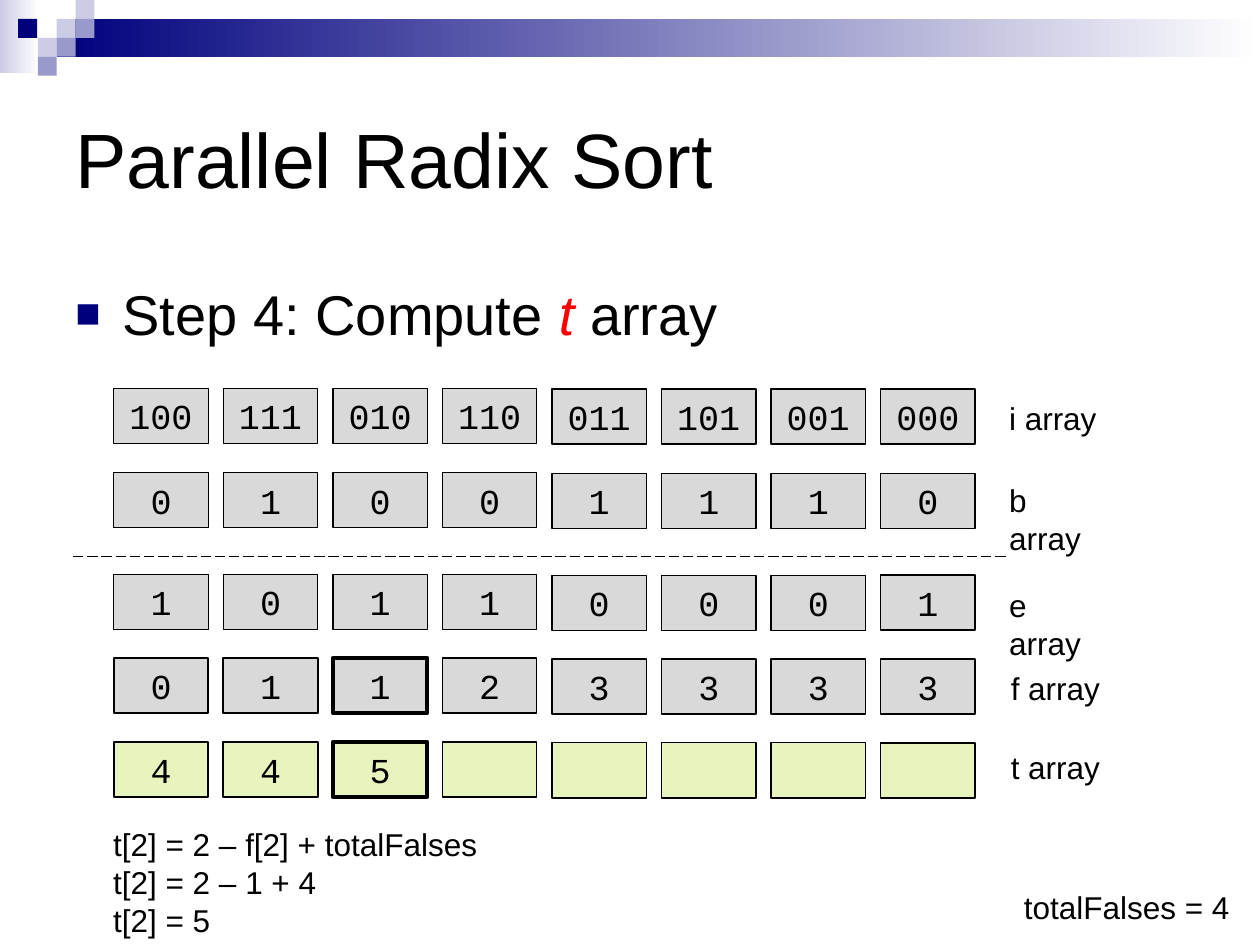
import lxml.etree
import pptx
import pptx.dml.color
import pptx.enum.dml
import pptx.enum.shapes
import pptx.enum.text
import pptx.oxml.ns
import pptx.util

Pt = pptx.util.Pt
qn = pptx.oxml.ns.qn
ALIGN = pptx.enum.text.PP_ALIGN
ANCHOR = pptx.enum.text.MSO_ANCHOR
RECT = pptx.enum.shapes.MSO_SHAPE.RECTANGLE
BLACK, NAVY, LILAC, MAUVE, WHITE = "000000", "00007D", "CCCCE6", "9999CC", "FFFFFF"
GREY, LIME, RED = "D9D9D9", "E7F4BE", "FF0000"

LEFT, STEP, WIDE, HIGH = 65, 62.6, 54, 31.5
TILE = 10.8
TILES = [(32.4, 10.8, LILAC), (43.2, 0, LILAC), (43.2, 10.8, MAUVE),
         (21.6, 21.6, LILAC), (10.4, 10.8, NAVY), (32.4, 21.6, MAUVE),
         (21.6, 32.4, MAUVE)]
HEAVY = {0: 1, 1: 1, 2: 2.25, 7: 1}
# name, cell top, label left, label top, fill, border widths by column, values
ROWS = [
    ("i array", 221.8, 569.5, 224.6, GREY, {}, "100 111 010 110 011 101 001 000"),
    ("b array", 270, 569.5, 271.4, GREY, {}, "0 1 0 0 1 1 1 0"),
    ("e array", 328.2, 569.5, 331.2, GREY, {7: 1}, "1 0 1 1 0 0 0 1"),
    ("f array", 376, 570.5, 378.7, GREY, HEAVY, "0 1 1 2 3 3 3 3"),
    ("t array", 424, 570.5, 424.1, LIME, HEAVY, "4 4 5 - - - - -"),
]


def rgb(code):
    return pptx.dml.color.RGBColor.from_string(code)


def style(para, size, font="Arial"):
    for run in para.runs:
        run.font.size = Pt(size)
        run.font.name = font
        run.font.color.rgb = rgb(BLACK)


def block(slide, x, y, w, h, fill, end=None):
    """Draw a borderless box, fading to the colour end if one is given."""
    box = slide.shapes.add_shape(RECT, Pt(x), Pt(y), Pt(w), Pt(h))
    box.shadow.inherit = False
    box.line.fill.background()
    if end:
        box.fill.gradient()
        box.fill.gradient_angle = 0
        for stop, code in zip(box.fill.gradient_stops, (fill, end)):
            stop.color.rgb = rgb(code)
    else:
        box.fill.solid()
        box.fill.fore_color.rgb = rgb(fill)
    return box


def cell(slide, x, y, fill, width, value):
    box = block(slide, x, y, WIDE, HIGH, fill)
    box.line.color.rgb = rgb(BLACK)
    box.line.width = Pt(width)
    if value != "-":
        frame = box.text_frame
        frame.text = value
        frame.vertical_anchor = ANCHOR.MIDDLE
        frame.paragraphs[0].alignment = ALIGN.CENTER
        style(frame.paragraphs[0], 20, "Courier New")


def label(slide, x, y, w, h, lines, size=18, wrap=False):
    frame = slide.shapes.add_textbox(Pt(x), Pt(y), Pt(w), Pt(h)).text_frame
    frame.word_wrap = wrap
    frame.text = "\n".join(lines)
    for para in frame.paragraphs:
        style(para, size)
    return frame


def banner(slide):
    block(slide, 0, 0, 22.3, 41.8, LILAC, WHITE)
    block(slide, 32.4, 10.8, 687.6, 21.6, NAVY, WHITE)
    for x, y, fill in TILES:
        block(slide, x, y, TILE, TILE, fill)


def bullet(para):
    props = para._p.get_or_add_pPr()
    props.set("marL", str(Pt(27)))
    props.set("indent", str(-Pt(27)))
    para.space_before = Pt(8)
    tint = lxml.etree.SubElement(props, qn("a:buClr"))
    lxml.etree.SubElement(tint, qn("a:srgbClr"), val=NAVY)
    lxml.etree.SubElement(props, qn("a:buSzPct"), val="75000")
    lxml.etree.SubElement(props, qn("a:buFont"), typeface="Arial")
    lxml.etree.SubElement(props, qn("a:buChar"), char="■")


def step(slide):
    para = label(slide, 36, 156.2, 648, 48, ["Step 4: Compute "], 32, True).paragraphs[0]
    for text in ("t ", "array"):
        para.add_run().text = text
    style(para, 32)
    name = para.runs[1].font
    name.italic = True
    name.color.rgb = rgb(RED)
    bullet(para)


def divider(slide):
    line = slide.shapes.add_connector(
        pptx.enum.shapes.MSO_CONNECTOR.STRAIGHT, Pt(41.8), Pt(318.2), Pt(576), Pt(318.2))
    line.line.color.rgb = rgb(BLACK)
    line.line.width = Pt(0.75)
    line.line.dash_style = pptx.enum.dml.MSO_LINE.LONG_DASH
    lxml.etree.SubElement(line._element.spPr, qn("a:effectLst"))


def array(slide, name, top, x, y, fill, widths, values):
    for col, value in enumerate(values.split()):
        drop = 0.5 if col > 3 else 0
        cell(slide, LEFT + col * STEP, top + drop, fill, widths.get(col, 0.75), value)
    label(slide, x, y, 70, 29, [name])


def main():
    deck = pptx.Presentation()
    deck.slide_width, deck.slide_height = Pt(720), Pt(540)
    slide = deck.slides.add_slide(deck.slide_layouts[6])
    banner(slide)
    title = label(slide, 36, 36, 648, 108, ["Parallel Radix Sort"], 44, True)
    title.vertical_anchor = ANCHOR.MIDDLE
    step(slide)
    divider(slide)
    for row in ROWS:
        array(slide, *row)
    label(slide, 57.6, 468, 222.5, 72,
          ["t[2] = 2 – f[2] + totalFalses", "t[2] = 2 – 1 + 4", "t[2] = 5"])
    label(slide, 578, 504, 132, 29, ["totalFalses = 4"])
    deck.save("out.pptx")


if __name__ == "__main__":
    main()
